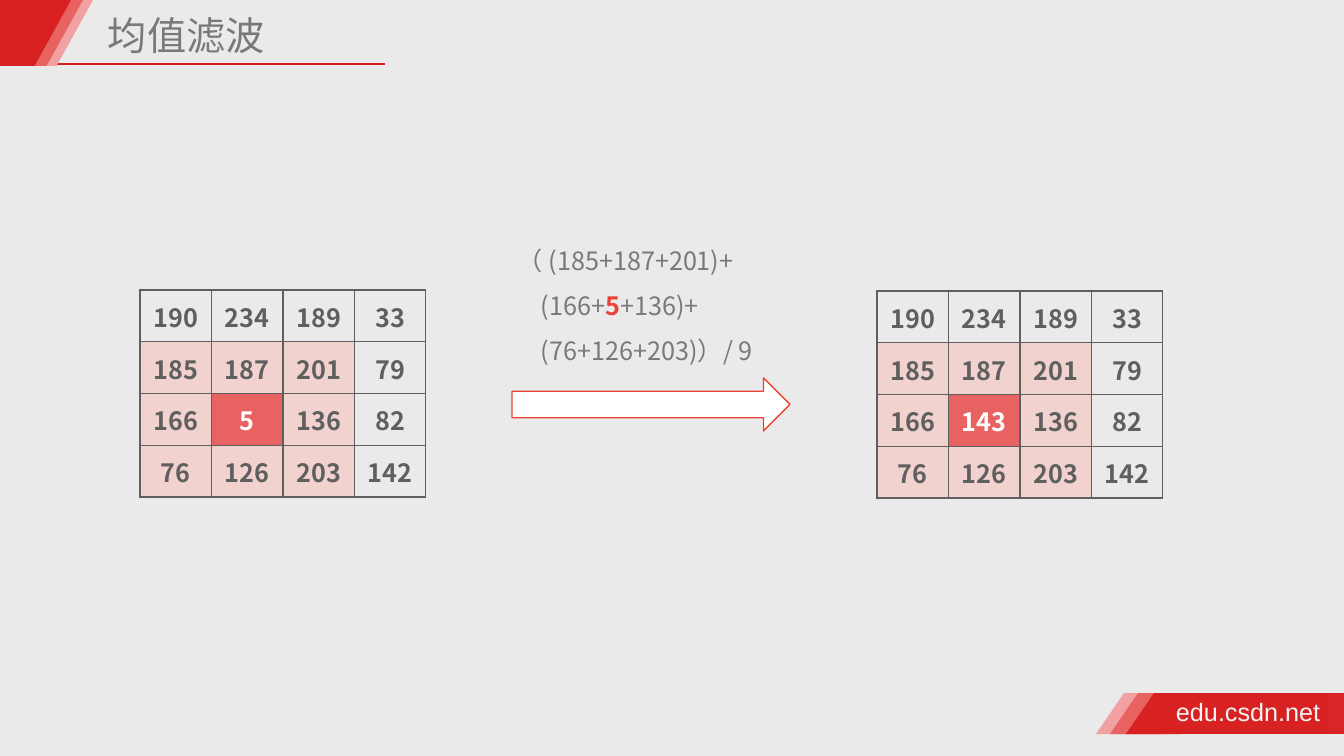
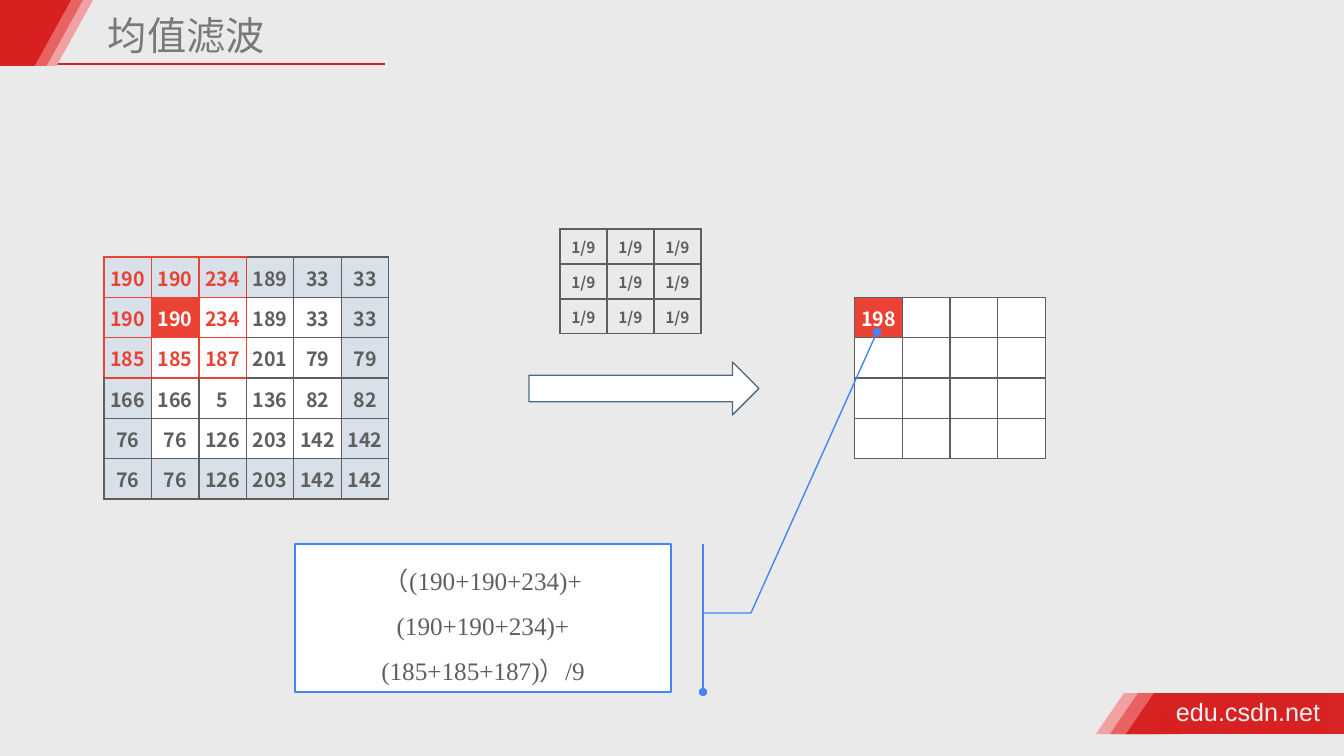
from dataclasses import dataclass

from pptx import Presentation
from pptx.dml.color import RGBColor
from pptx.enum.shapes import MSO_CONNECTOR, MSO_SHAPE
from pptx.enum.text import MSO_ANCHOR, PP_ALIGN
from pptx.oxml.ns import qn
from pptx.util import Emu, Pt
from lxml import etree

RECT = MSO_SHAPE.RECTANGLE
WEDGE = MSO_SHAPE.ISOSCELES_TRIANGLE
ARROW = MSO_SHAPE.RIGHT_ARROW
NOTE = MSO_SHAPE.LINE_CALLOUT_2_BORDER_AND_ACCENT_BAR
STRAIGHT = MSO_CONNECTOR.STRAIGHT
LEFT, CENTER = PP_ALIGN.LEFT, PP_ALIGN.CENTER
TOP, MIDDLE = MSO_ANCHOR.TOP, MSO_ANCHOR.MIDDLE

WIDE, HIGH = 1344, 756
SCALE = 12192000 / WIDE
PAD = 5


@dataclass(frozen=True)
class Theme:
    # Colours
    page: str = "EAEAEA"
    white: str = "FFFFFF"
    red: str = "D82020"
    coral: str = "E86262"
    pink: str = "F1A1A1"
    blush: str = "F2D2CF"
    hot: str = "EA4335"
    mist: str = "D8E1E9"
    steel: str = "4A6982"
    blue: str = "4285F4"
    grey: str = "797979"
    dark: str = "5F5F5F"
    pale: str = "F2F2F2"
    # Fonts and type sizes
    sans: str = "Noto Sans CJK SC"
    serif: str = "Times New Roman"
    plain: str = "Arial"
    head: int = 28
    body: int = 18
    small: int = 14
    tiny: int = 11
    lead: int = 32


def px(n):
    return Emu(round(n * SCALE))


def rgb(code):
    return RGBColor.from_string(code)


def sub(node, tag, **attrs):
    return etree.SubElement(node, qn(tag), attrs)


class Deck:
    def __init__(self, theme):
        self.theme = theme
        self.prs = Presentation()
        self.prs.slide_width, self.prs.slide_height = px(WIDE), px(HIGH)
        back = self.prs.slide_master.background.fill
        back.solid()
        back.fore_color.rgb = rgb(theme.page)
        self.slide = None

    # Text
    def style(self, run, size, ink, face=None, bold=False):
        font = run.font
        font.size, font.bold = Pt(size), bold
        font.color.rgb = rgb(ink)
        font.name = face or self.theme.sans
        sub(font._element, "a:ea", typeface=self.theme.sans)

    def frame(self, shape, anchor=TOP, wrap=True):
        frame = shape.text_frame
        frame.word_wrap, frame.vertical_anchor = wrap, anchor
        frame.margin_left = frame.margin_right = px(PAD)
        frame.margin_top = frame.margin_bottom = px(PAD)
        return frame

    def lines(self, frame, rows, ink, face=None, align=LEFT):
        frame.text = "\n".join(rows)
        for para in frame.paragraphs:
            para.alignment, para.line_spacing = align, Pt(self.theme.lead)
            for run in para.runs:
                self.style(run, self.theme.body, ink, face)

    def box(self, x, y, w, h, wrap=True):
        shape = self.slide.shapes.add_textbox(px(x), px(y), px(w), px(h))
        return self.frame(shape, wrap=wrap)

    # Shapes
    def shape(self, kind, x, y, w, h, fill, line=None, alpha=None):
        shape = self.slide.shapes.add_shape(kind, px(x), px(y), px(w), px(h))
        shape.shadow.inherit = False
        shape.fill.solid()
        shape.fill.fore_color.rgb = rgb(fill)
        if alpha:
            tint = shape._element.spPr.find(qn("a:solidFill"))[0]
            sub(tint, "a:alpha", val=str(alpha * 1000))
        if line:
            shape.line.color.rgb = rgb(line)
            shape.line.width = Pt(1)
        else:
            shape.line.fill.background()
        return shape

    def rule(self, x, y, end, ink):
        line = self.slide.shapes.add_connector(
            STRAIGHT, px(x), px(y), px(end), px(y))
        line.line.color.rgb = rgb(ink)
        line.line.width = Pt(1)
        sub(line._element.spPr, "a:effectLst")

    def note(self, x, y, w, h, bends, rows):
        """bends lists the leader points as (down, right) from the corner."""
        t = self.theme
        shape = self.shape(NOTE, x, y, w, h, t.white, t.blue)
        for i, (down, right) in enumerate(bends):
            shape.adjustments[2 * i] = down / h
            shape.adjustments[2 * i + 1] = right / w
        props = shape._element.spPr
        props.find(qn("a:xfrm")).set("flipH", "1")
        sub(props.find(qn("a:ln")), "a:tailEnd", type="oval")
        self.lines(self.frame(shape, MIDDLE), rows, t.dark, t.serif, CENTER)

    # Tables
    def edges(self, cell, inks):
        props = cell._tc.get_or_add_tcPr()
        for side, ink in zip("LRTB", inks):
            line = sub(props, "a:ln" + side, w="12700")
            if ink:
                sub(sub(line, "a:solidFill"), "a:srgbClr", val=ink)
            else:
                sub(line, "a:noFill")

    def table(self, x, y, w, h, rows, size, look, rim=None):
        """look gives (ink, fill) of a cell, rim its four edge colours."""
        tall, wide = len(rows), len(rows[0])
        table = self.slide.shapes.add_table(
            tall, wide, px(x), px(y), px(w), px(h)).table
        table.first_row = table.horz_banding = False
        for col in table.columns:
            col.width = px(w / wide)
        for row in table.rows:
            row.height = px(h / tall)
        for r, row in enumerate(rows):
            for c, word in enumerate(row):
                cell = table.cell(r, c)
                ink, fill = look(r, c)
                self.edges(cell, rim(r, c) if rim else [self.theme.dark] * 4)
                if fill:
                    cell.fill.solid()
                    cell.fill.fore_color.rgb = rgb(fill)
                else:
                    cell.fill.background()
                cell.margin_left = cell.margin_right = px(1)
                cell.margin_top, cell.margin_bottom = px(1), 0
                cell.vertical_anchor = MIDDLE
                cell.text = str(word)
                para = cell.text_frame.paragraphs[0]
                para.alignment = CENTER
                for run in para.runs:
                    self.style(run, size, ink, bold=True)

    # Shared slide frame
    def start(self, title):
        t = self.theme
        self.slide = self.prs.slides.add_slide(self.prs.slide_layouts[5])
        self.rule(49, 64, 385, t.red)
        tints = (t.pink, t.coral, t.red)
        for x, tint in zip((1096, 1110, 1126), tints):
            alpha = 97 if tint == t.red else None
            self.shape(RECT, x + 28, 693, 190, 41, tint, alpha=alpha)
            self.shape(WEDGE, x, 693, 56, 41, tint, alpha=alpha)
        for x, tint in zip((20, 10, -2), tints):
            left = max(x, 0)
            self.shape(RECT, left, 0, x + 36 - left, 66, tint)
            self.shape(WEDGE, x, 0, 73, 66, tint).rotation = 180
        site = self.box(1171, 691, 156, 41, wrap=False)
        site.text = "edu.csdn.net"
        self.style(site.paragraphs[0].runs[0], t.body, t.pale, t.plain)

        head = self.slide.shapes.title
        head.left, head.top, head.width, head.height = map(
            px, (103, 11, 440, 53))
        frame = self.frame(head, MIDDLE)
        frame.text = title
        para = frame.paragraphs[0]
        para.alignment, para.line_spacing = LEFT, 0.9
        self.style(para.runs[0], t.head, t.grey)


def mean(deck):
    t = deck.theme
    deck.start("均值滤波")

    def look(r, c):
        if (r, c) == (2, 1):
            return t.white, t.coral
        return t.dark, t.blush if r > 0 and c < 3 else None

    # Grid before and after
    for x, y, mid in ((140, 290, 5), (877, 291, 143)):
        rows = [[190, 234, 189, 33], [185, 187, 201, 79],
                [166, mid, 136, 82], [76, 126, 203, 142]]
        deck.table(x, y, 286, 207, rows, t.body, look)
    deck.shape(ARROW, 512, 378, 278, 53, t.white, t.hot)

    # Formula with the centre value marked
    frame = deck.box(507, 226, 357, 147)
    deck.lines(frame, ["（ (185+187+201)+", "(166+", "(76+126+203)）/ 9"], t.grey)
    for para, inset in zip(frame.paragraphs, (6, 29, 29)):
        para._p.get_or_add_pPr().set("marL", str(px(inset)))
    for word, ink, bold in (("5", t.hot, True), ("+136)+", t.grey, False)):
        run = frame.paragraphs[1].add_run()
        run.text = word
        deck.style(run, t.body, ink, bold=bold)


def kernel(deck):
    t = deck.theme
    deck.start("均值滤波")

    # Padded grid with the 3 by 3 window in red
    core = [[190, 234, 189, 33], [185, 187, 201, 79],
            [166, 5, 136, 82], [76, 126, 203, 142]]
    wide = [[row[0], *row, row[-1]] for row in core]
    rows = [wide[0], *wide, wide[-1]]

    def inner(r, c):
        return 0 < r < 5 and 0 < c < 5

    def look(r, c):
        if (r, c) == (1, 1):
            return t.white, t.hot
        ink = t.hot if r < 3 and c < 3 else t.dark
        return ink, t.white if inner(r, c) else t.mist

    def rim(r, c):
        own = r < 3 and c < 3
        left = own or (r < 3 and c == 3)
        top = own or (r == 3 and c < 3)
        return [t.hot if on else t.dark for on in (left, own, top, own)]

    deck.table(104, 257, 285, 242, rows, t.small, look, rim)

    # Result grid, its outer ring bare
    cells = [[""] * 6 for _ in range(6)]
    cells[1][1] = 198

    def tone(r, c):
        if (r, c) == (1, 1):
            return t.white, t.hot
        return t.dark, t.white if inner(r, c) else None

    def bound(r, c):
        near = ((r, c - 1), (r, c + 1), (r - 1, c), (r + 1, c))
        return [t.dark if inner(r, c) or inner(*spot) else None
                for spot in near]

    deck.table(807, 257, 286, 242, cells, t.small, tone, bound)

    # Kernel and arrow
    deck.shape(ARROW, 529, 362, 230, 53, t.white, t.steel)
    deck.table(560, 229, 141, 105, [["1/9"] * 3] * 3, t.tiny,
               lambda r, c: (t.dark, None))

    # Formula callout
    deck.note(295, 544, 376, 148, ((69, -32), (69, -80), (-212, -206)),
              ["（(190+190+234)+", "(190+190+234)+", "(185+185+187)）/9"])


def main():
    deck = Deck(Theme())
    mean(deck)
    kernel(deck)
    deck.prs.save("out.pptx")


if __name__ == "__main__":
    main()
